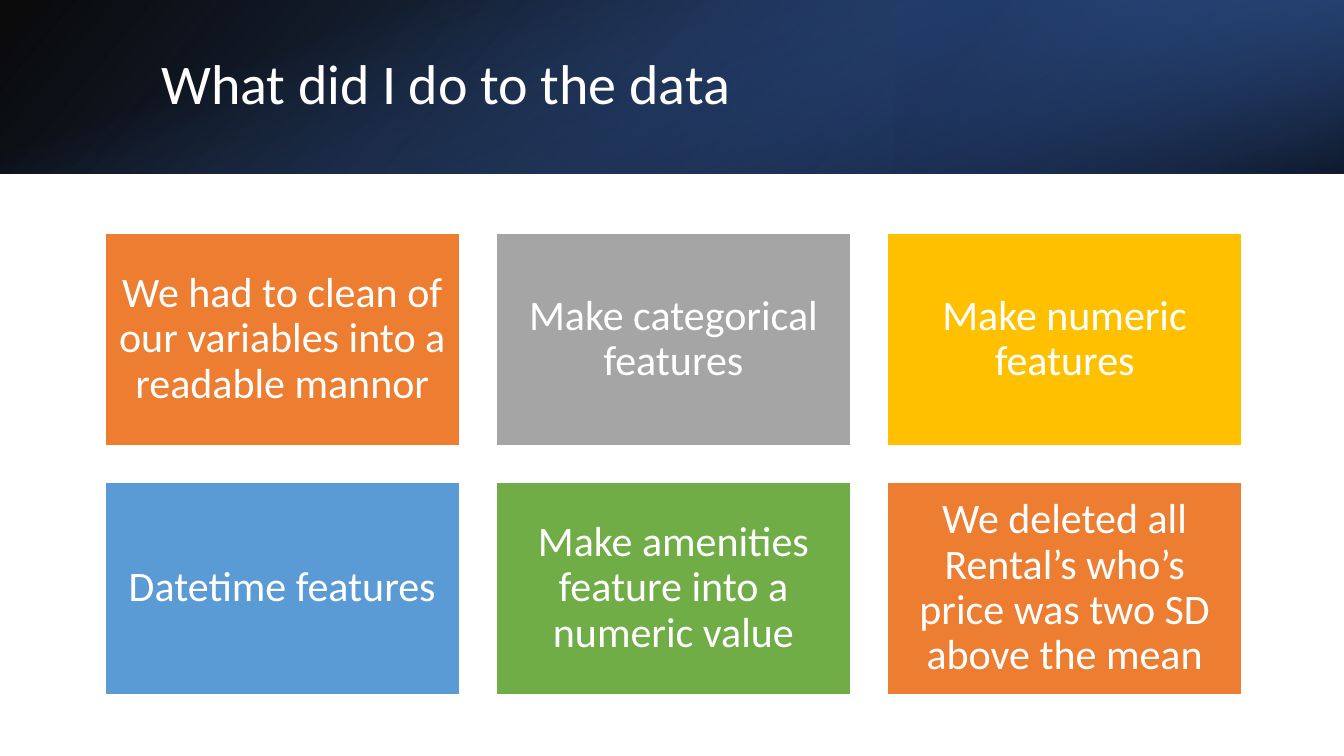
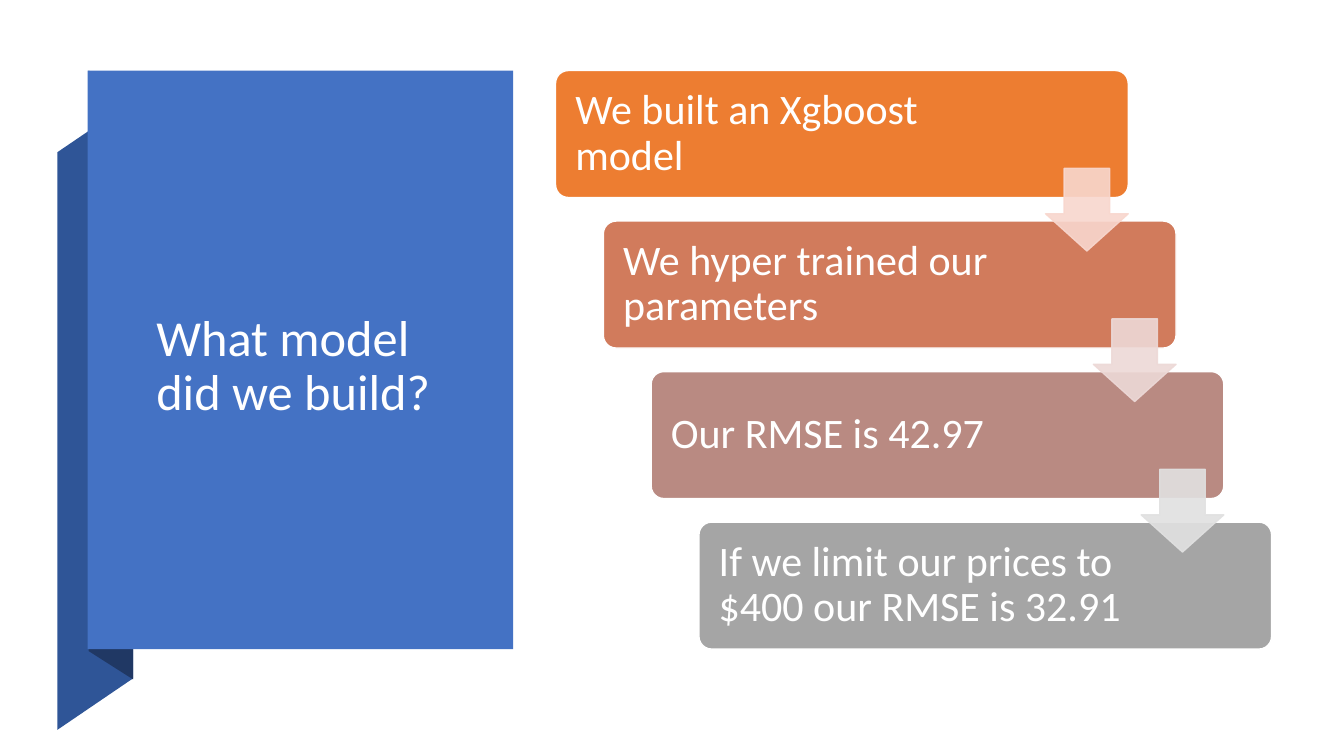
"""Two slides on preparing rental data and building a price model."""
from lxml.etree import SubElement
from pptx import Presentation
from pptx.dml.color import RGBColor as RGB
from pptx.enum.shapes import MSO_SHAPE as SHAPE
from pptx.enum.text import MSO_ANCHOR as ANCHOR, MSO_AUTO_SIZE as AUTO, PP_ALIGN as ALIGN
from pptx.oxml.ns import qn
from pptx.util import Inches, Pt

WHITE, BLACK = RGB(255, 255, 255), RGB(0, 0, 0)
BLUE, DEEP, NAVY = RGB(0x44, 0x72, 0xC4), RGB(0x2F, 0x55, 0x97), RGB(0x20, 0x38, 0x64)
ORANGE, GRAY, GOLD = RGB(0xED, 0x7D, 0x31), RGB(0xA5, 0xA5, 0xA5), RGB(0xFF, 0xC0, 0x00)
SKY, GREEN = RGB(0x5B, 0x9B, 0xD5), RGB(0x70, 0xAD, 0x47)
CLAY, ROSE = RGB(0xD1, 0x7B, 0x5C), RGB(0xB9, 0x8A, 0x82)
PEACH, BLUSH, SILVER = RGB(0xF8, 0xD7, 0xCE), RGB(0xED, 0xD9, 0xD7), RGB(0xE1, 0xE1, 0xE1)
W, H = 13.33, 7.5


def write(sp, text, size=30, align=ALIGN.LEFT, margins=(0.12, 0.12, 0.12, 0.12)):
    tf = sp.text_frame
    tf.word_wrap, tf.auto_size, tf.vertical_anchor = True, AUTO.NONE, ANCHOR.MIDDLE
    tf.margin_left, tf.margin_top, tf.margin_right, tf.margin_bottom = map(Inches, margins)
    p = tf.paragraphs[0]
    p.alignment, p.line_spacing = align, 0.9
    r = p.add_run()
    r.text = text
    r.font.name, r.font.size, r.font.color.rgb = "Calibri", Pt(size), WHITE


def add_shape(s, kind, box, fill=None, line=None, adj=()):
    sp = s.shapes.add_shape(kind, *map(Inches, box))
    sp.shadow.inherit = False
    for i, value in enumerate(adj):
        sp.adjustments[i] = value
    if fill is not None:
        sp.fill.solid()
        sp.fill.fore_color.rgb = fill
    if line is None:
        sp.line.fill.background()
    else:
        sp.line.color.rgb, sp.line.width = line, Pt(1)
    return sp


prs = Presentation()
prs.slide_width, prs.slide_height = Inches(W), Inches(H)
title_only = prs.slide_layouts[5]

s = prs.slides.add_slide(title_only)
band_h = 1.72
bands = [
    ((0, 0, W, band_h), 0, True, 140, [(0, BLACK, 96), (1, DEEP, 100)]),
    ((W * 2 / 3, 0, W / 3, band_h), 180, True, 320, [(0.19, NAVY, 68), (1, BLUE, 79)]),
    (((W - band_h) / 2, (band_h - W) / 2, band_h, W), 90, False, 340,
     [(0.23, BLUE, 0), (0.99, BLACK, 74)]),
]
for box, rotation, flipped, angle, stops in bands:
    sp = add_shape(s, SHAPE.RECTANGLE, box)
    sp.rotation = rotation
    if flipped:
        sp.element.spPr.find(qn("a:xfrm")).set("flipH", "1")
    sp.fill.gradient()
    sp.fill.gradient_angle = 360 - angle
    for stop, (position, color, _) in zip(sp.fill.gradient_stops, stops):
        stop.position, stop.color.rgb = position, color
    for clr, (_, _, alpha) in zip(sp.element.spPr.iter(qn("a:srgbClr")), stops):
        SubElement(clr, qn("a:alpha")).set("val", str(alpha * 1000))

cards = [
    ("We had to clean of our variables into a readable mannor", ORANGE),
    ("Make categorical features", GRAY),
    ("Make numeric features", GOLD),
    ("Datetime features", SKY),
    ("Make amenities feature into a numeric value", GREEN),
    ("We deleted all Rental’s who’s price was two SD above the mean", ORANGE),
]
card_w, card_h, gap = 3.52, 2.11, 0.36
for i, (text, color) in enumerate(cards):
    row, col = divmod(i, 3)
    box = (1.04 + col * (card_w + gap), 2.31 + row * (card_h + gap), card_w, card_h)
    write(add_shape(s, SHAPE.RECTANGLE, box, color, WHITE), text, align=ALIGN.CENTER)
data_slide = s

s = prs.slides.add_slide(title_only)
panel_x, panel_y, panel_w, panel_h = 0.87, 0.7, 4.22, 5.74
folds = [
    (DEEP, [(0.57, 7.24), (1.32, 6.73), (1.32, 1), (0.57, 1.51)]),
    (NAVY, [(0.88, 6.46), (1.32, 6.74), (1.32, 0.99), (0.88, 0.7)]),
]
for color, points in folds:
    start, *rest = [(Inches(x), Inches(y)) for x, y in points]
    fb = s.shapes.build_freeform(*start, scale=1)
    fb.add_line_segments(rest, close=True)
    sp = fb.convert_to_shape()
    sp.shadow.inherit = False
    sp.fill.solid()
    sp.fill.fore_color.rgb = color
    sp.line.fill.background()
add_shape(s, SHAPE.RECTANGLE, (panel_x, panel_y, panel_w, panel_h), BLUE)

steps = [
    ("We built an Xgboost model", ORANGE),
    ("We hyper trained our parameters", CLAY),
    ("Our RMSE is 42.97", ROSE),
    ("If we limit our prices to $400 our RMSE is 32.91", GRAY),
]
step_w, step_h, arrow = 5.68, 1.26, 0.82
corners = [(5.51 + i * 0.474, panel_y + i * (panel_h - step_h) / 3) for i in range(4)]
for (x, y), (text, color) in zip(corners, steps):
    sp = add_shape(s, SHAPE.ROUNDED_RECTANGLE, (x, y, step_w, step_h), color, WHITE, [0.1])
    write(sp, text, margins=(0.16, 0.12, 1.45, 0.12))
for (x, y), color in zip(corners, (PEACH, BLUSH, SILVER)):
    box = (x + step_w - arrow, y + 0.97, arrow, arrow)
    sp = add_shape(s, SHAPE.DOWN_ARROW, box, color, color, [0.55, 0.45])
    for clr in sp.element.spPr.iter(qn("a:srgbClr")):
        SubElement(clr, qn("a:alpha")).set("val", "90000")

titles = [
    (data_slide, "What did I do to the data", 40, (1.5, 0.38, 10.98, 0.96)),
    (s, "What model did we build?", 36, (1.45, 1.67, 3.01, 3.94)),
]
for slide, text, size, box in titles:
    title = slide.shapes.title
    title.left, title.top, title.width, title.height = map(Inches, box)
    write(title, text, size, margins=(0.1, 0.05, 0.1, 0.05))
    title.element.getparent().append(title.element)

prs.save("out.pptx")
